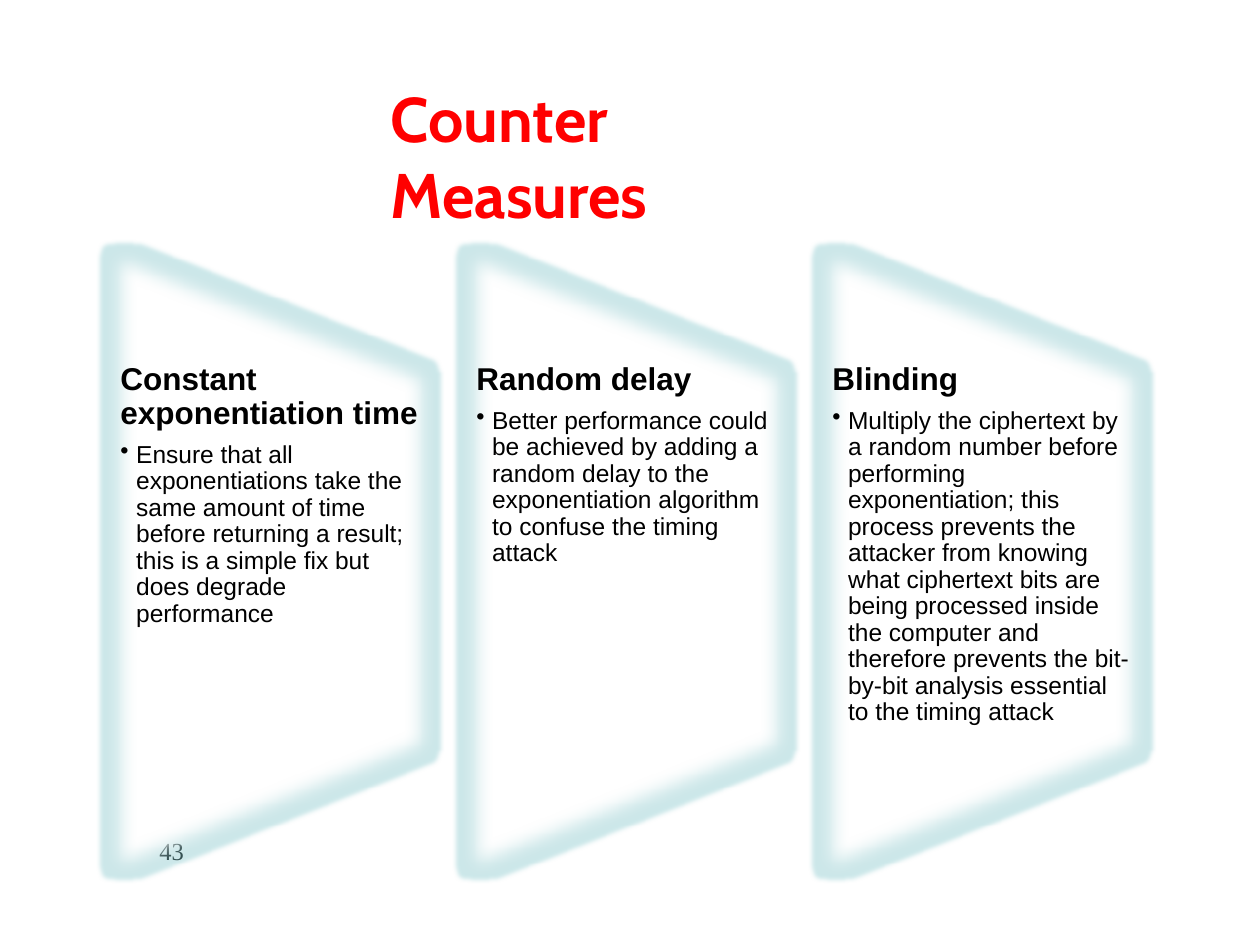
from lxml import etree
from pptx import Presentation
from pptx.dml.color import RGBColor
from pptx.enum.shapes import MSO_SHAPE as Shape
from pptx.enum.text import MSO_ANCHOR as Anchor, MSO_AUTO_SIZE as Fit, PP_ALIGN as Align
from pptx.oxml import parse_xml
from pptx.oxml.ns import qn
from pptx.util import Pt

INK = {"title": "FF0000", "text": "000000", "panel": "FFFFFF", "glow": "80C5CA"}
FONTS = {
    "title": {"name": "Cabin", "size": Pt(36), "bold": True},
    "page": {"name": "Times New Roman", "size": Pt(14), "bold": False},
    "head": {"name": "Arial", "size": Pt(18), "bold": True},
    "body": {"name": "Arial", "size": Pt(14), "bold": False},
}
EFFECTS = f"""<a:effectLst xmlns:a="http://schemas.openxmlformats.org/drawingml/2006/main">
  <a:glow rad="{Pt(5)}"><a:srgbClr val="{INK['glow']}"><a:alpha val="40000"/></a:srgbClr></a:glow>
  <a:softEdge rad="{Pt(10)}"/>
</a:effectLst>"""
ITEMS = [
    ("Constant exponentiation time",
     "Ensure that all exponentiations take the same amount of time before returning "
     "a result; this is a simple fix but does degrade performance"),
    ("Random delay",
     "Better performance could be achieved by adding a random delay to the "
     "exponentiation algorithm to confuse the timing attack"),
    ("Blinding",
     "Multiply the ciphertext by a random number before performing exponentiation; "
     "this process prevents the attacker from knowing what ciphertext bits are being "
     "processed inside the computer and therefore prevents the bit-by-bit analysis "
     "essential to the timing attack"),
]
LEFT, STEP, WIDTH = 59.8, 203.4, 189.4
TOP, HIGH = 132.2, 377.2


def style(para, kind, color="text"):
    for key, val in FONTS[kind].items():
        setattr(para.font, key, val)
    para.font.color.rgb = RGBColor.from_string(INK[color])


deck = Presentation()
deck.slide_width, deck.slide_height = Pt(720), Pt(540)
slide = deck.slides.add_slide(deck.slide_layouts[5])
shapes = slide.shapes

# Title
title = shapes.title
title.left, title.top, title.width, title.height = Pt(216), Pt(41.8), Pt(286.6), Pt(51)
frame = title.text_frame
frame.text = "Counter Measures"
frame.word_wrap = True
frame.auto_size = Fit.NONE
frame.vertical_anchor = Anchor.TOP
frame.paragraphs[0].alignment = Align.LEFT
style(frame.paragraphs[0], "title", "title")

# Page number, behind the panels
page = shapes.add_textbox(Pt(84), Pt(474), Pt(60), Pt(37.5)).text_frame
page.text = "43"
style(page.paragraphs[0], "page")

# Panels with their text
for i, (head, body) in enumerate(ITEMS):
    left = LEFT + i * STEP
    # The panel lies on its side, so its box is turned about the same centre
    shift = (HIGH - WIDTH) / 2
    panel = shapes.add_shape(Shape.FLOWCHART_MANUAL_OPERATION,
                             Pt(left - shift), Pt(TOP + shift), Pt(HIGH), Pt(WIDTH))
    panel.rotation = 270
    panel.fill.solid()
    panel.fill.fore_color.rgb = RGBColor.from_string(INK["panel"])
    panel.line.fill.background()
    panel.shadow.inherit = False
    props = panel.element.spPr
    props.replace(props.find(qn("a:effectLst")), parse_xml(EFFECTS))

    frame = shapes.add_textbox(Pt(left), Pt(207.4), Pt(WIDTH), Pt(226)).text_frame
    frame.word_wrap = True
    frame.margin_left, frame.margin_right = Pt(9), Pt(9)
    frame.margin_top = frame.margin_bottom = 0
    first, second = frame.paragraphs[0], frame.add_paragraph()
    for para, text, kind, after in ((first, head, "head", 6.3), (second, body, "body", 2.1)):
        para.text = text
        para.line_spacing = 0.9
        para.space_after = Pt(after)
        if kind == "body":
            para.level = 1
            form = para._p.get_or_add_pPr()
            form.set("marL", str(Pt(9)))
            form.set("indent", str(Pt(-9)))
            etree.SubElement(form, qn("a:buChar"), char="•")
        style(para, kind)

deck.save("out.pptx")
